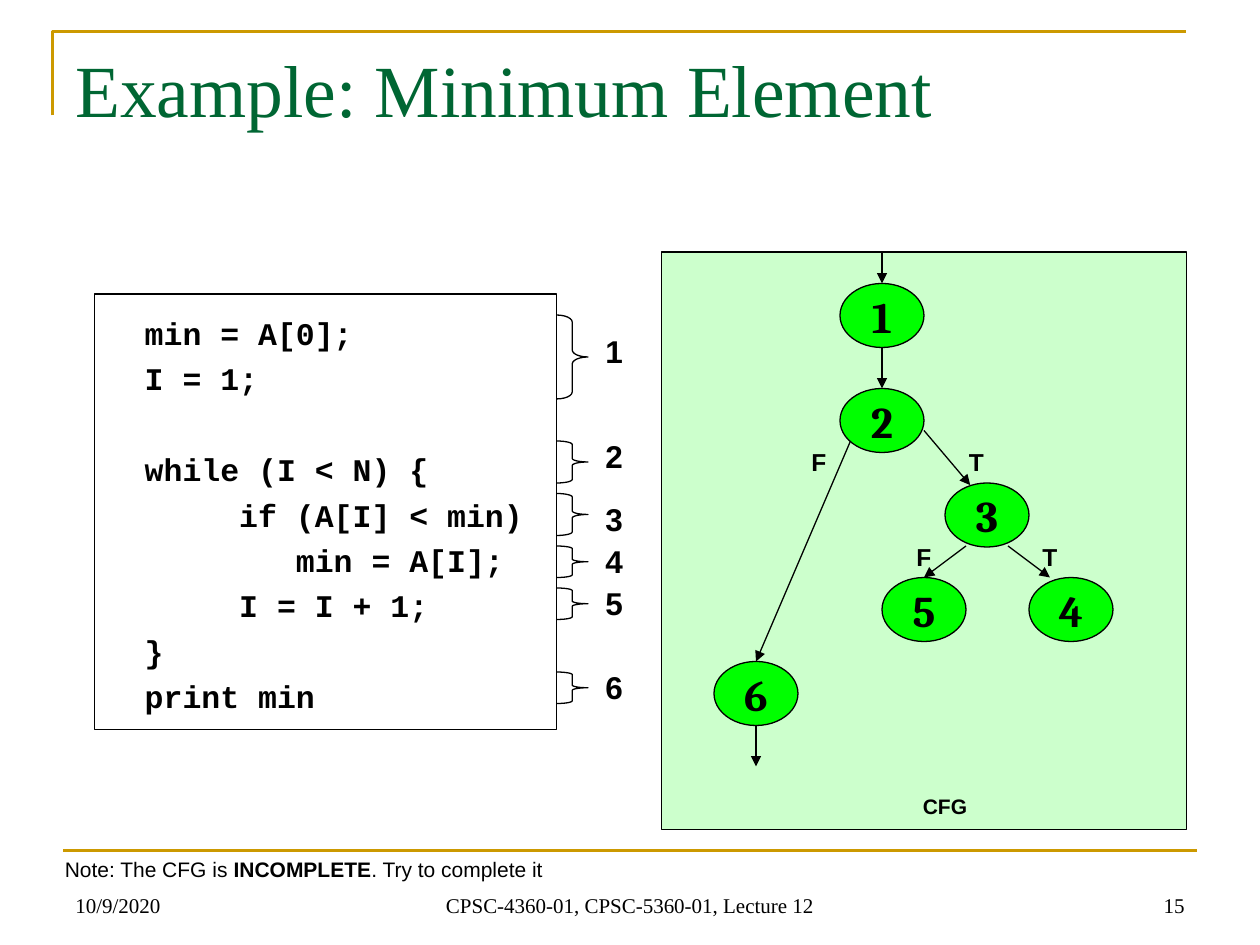
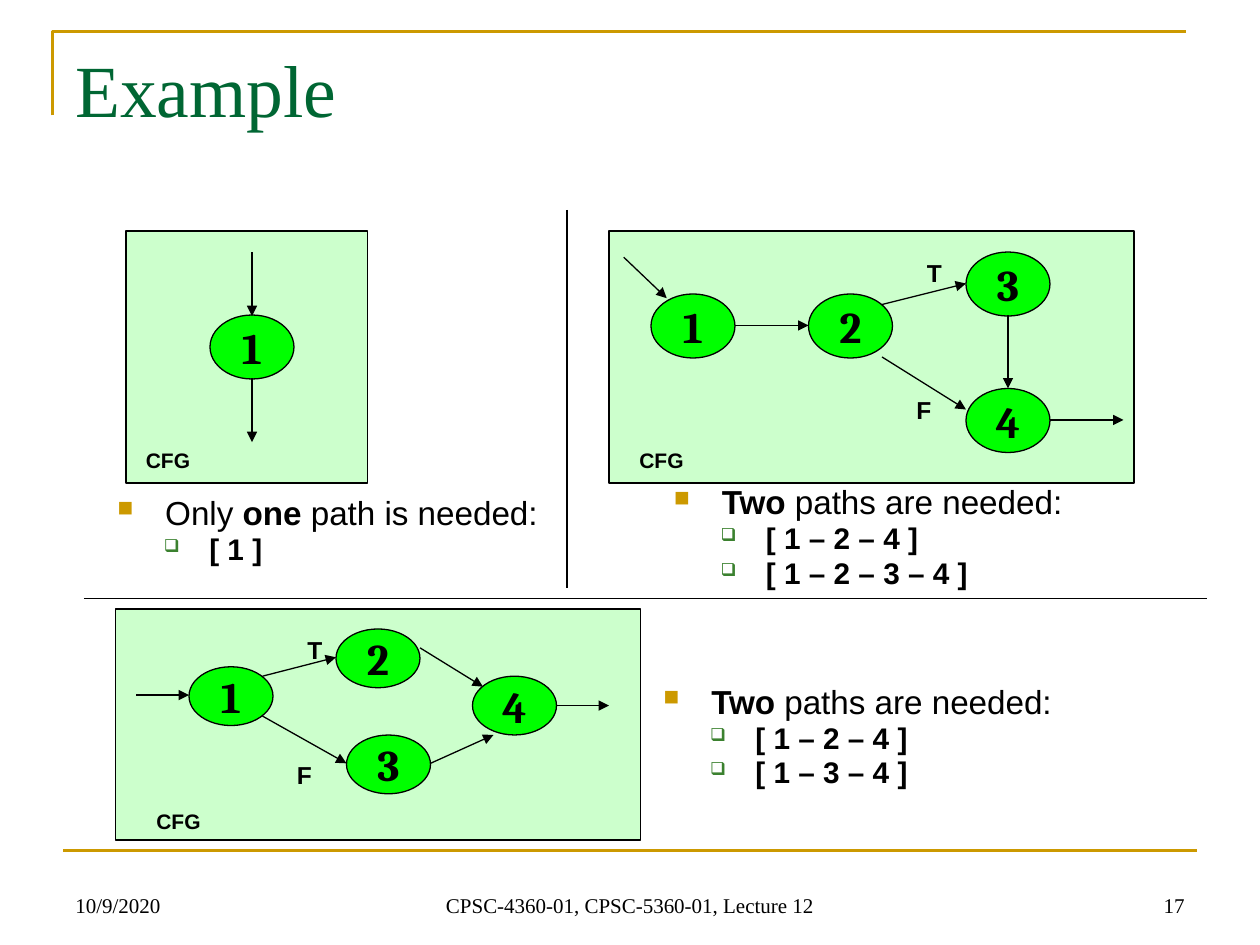
"""Build two slides on control-flow graphs, on a grid of 120 columns by 90 rows."""
from lxml import etree
from pptx import Presentation, util as u
from pptx.dml.color import RGBColor
from pptx.enum import shapes, text
from pptx.oxml import ns

KIND, SIDE, ROW = shapes.MSO_SHAPE, text.PP_ALIGN, text.MSO_ANCHOR
hue = RGBColor.from_string
GOLD, DARK, LEAF, PALE, LIME, BLACK = "CC9900", "006633", "3B812F", "CCFFCC", "00FF00", "000000"
ROMAN = "Times New Roman"

deck = Presentation()
deck.slide_width, deck.slide_height = u.Inches(10), u.Inches(7.5)
CELL = deck.slide_width / 120


def draw(page, box, words="", kind=None, fill=None, edge=0.75, size=12, face="Arial",
         ink=BLACK, bold=None, side=SIDE.LEFT, row=ROW.TOP, wrap=True):
    """Place a shape or text box; asterisks in the words enclose bold runs."""
    area = [round(n * CELL) for n in box]
    if kind is None:
        item = page.shapes.add_textbox(*area)
    else:
        item = page.shapes.add_shape(kind, *area)
        item.shadow.inherit = False
        item.line.color.rgb, item.line.width = hue(BLACK), u.Pt(edge)
        if fill:
            item.fill.solid()
            item.fill.fore_color.rgb = hue(fill)
        else:
            item.fill.background()
    if words:
        frame = item.text_frame
        frame.word_wrap, frame.vertical_anchor = wrap, row
        for n, line in enumerate(words.split("\n")):
            para = frame.add_paragraph() if n else frame.paragraphs[0]
            para.alignment = side
            for k, part in enumerate(line.split("*")):
                if part:
                    run = para.add_run()
                    run.text = part
                    if k % 2:
                        run.font.bold = True
            font = para.font
            font.size, font.name, font.bold = u.Pt(size), face, bold
            font.color.rgb = hue(ink)
    return item


def link(page, ends, ink=BLACK, wide=0.75, arrow=True):
    """Draw a straight line, with an arrowhead at its end if wanted."""
    wire = page.shapes.add_connector(shapes.MSO_CONNECTOR.STRAIGHT, *[round(n * CELL) for n in ends])
    wire.line.color.rgb, wire.line.width = hue(ink), u.Pt(wide)
    if arrow:
        etree.SubElement(wire.line._get_or_add_ln(), ns.qn("a:tailEnd"), type="triangle")
    etree.SubElement(wire._element.spPr, ns.qn("a:effectLst"))


loop = dict(
    panel=(63, 24, 50, 55), name=(86, 75), tall=6.1,
    nodes=[(80, 27), (80, 37), (90, 46), (98, 55), (84, 55), (68, 63)],
    links=[(84, 24, 84, 27), (84, 33, 84, 37), (88, 41, 92.4, 46.2), (92, 52, 88, 55),
           (96, 52, 100, 55), (81, 42, 72, 63), (72, 69, 72, 73)],
    marks=[("T", 90, 42), ("F", 75, 42), ("T", 97, 51), ("F", 85, 51)])
single = dict(
    panel=(12, 22, 23, 24), name=(12, 42), tall=6.1, nodes=[(20, 30)],
    links=[(24, 24, 24, 30.1), (24, 36, 24, 42.1)], marks=[])
branch = dict(
    panel=(58, 22, 50, 24), name=(59, 42), tall=6.1,
    nodes=[(62, 28), (77, 28), (92, 24), (92, 37)],
    links=[(59.4, 24.5, 63.5, 28.4), (70, 31, 77, 31), (84, 29, 92, 27), (84, 34, 92, 39),
           (96, 30, 96, 37), (100, 40, 107, 40)],
    marks=[("T", 86, 24), ("F", 85, 37)])
diamond = dict(
    panel=(11, 58, 50, 22), name=(13, 76.4), tall=5.6,
    nodes=[(18, 63.5), (32, 59.9), (33, 70), (45, 64.4)],
    links=[(13, 66.2, 18, 66.2), (25, 64.4, 32, 62.6), (25, 68.2, 33, 72.7),
           (40, 61.7, 46, 65.4), (41, 72.7, 47, 70), (53, 67.2, 58, 67.2)],
    marks=[("T", 27, 59.9), ("F", 26, 71.8)])

pages = []
for title, number, graphs in [("Example: Minimum Element", "15", [loop]),
                              ("Example", "17", [single, branch, diamond])]:
    page = deck.slides.add_slide(deck.slide_layouts[6])
    pages.append(page)
    pen = page.shapes.build_freeform(5, 11, scale=CELL)
    pen.add_line_segments([(5, 3), (113, 3)], close=False)
    rule = pen.convert_to_shape()
    rule.shadow.inherit = False
    rule.fill.background()
    rule.line.color.rgb, rule.line.width = hue(GOLD), u.Pt(1.5)
    link(page, (6, 81, 114, 81), GOLD, 1.5, False)
    draw(page, (6, 3.6, 108, 15), title, size=42, face=ROMAN, ink=DARK)
    for left, wide, words, side in [(6, 28, "10/9/2020", SIDE.LEFT),
                                    (41, 38, "CPSC-4360-01, CPSC-5360-01, Lecture 12", SIDE.CENTER),
                                    (86, 28, number, SIDE.RIGHT)]:
        draw(page, (left, 82, wide, 6), words, face=ROMAN, side=side, row=ROW.BOTTOM)
    for graph in graphs:
        draw(page, graph["panel"], kind=KIND.RECTANGLE, fill=PALE, edge=1)
        draw(page, (*graph["name"], 8, 3.6), "CFG", bold=True, side=SIDE.CENTER)
        for n, spot in enumerate(graph["nodes"], 1):
            draw(page, (*spot, 8, graph["tall"]), str(n), KIND.OVAL, LIME, size=25, face="Cambria",
                 bold=True, side=SIDE.CENTER, row=ROW.MIDDLE, wrap=False)
        for ends in graph["links"]:
            link(page, ends)
        for mark, left, top in graph["marks"]:
            draw(page, (left, top, 6, 4), mark, size=14, bold=True, side=SIDE.CENTER)

first, second = pages
code = """  min = A[0];
  I = 1;
  while (I < N) {
       if (A[I] < min)
          min = A[I];
       I = I + 1;
  }
  print min"""
block = draw(first, (9, 28, 44, 41.5), code, KIND.RECTANGLE, size=18, face="Courier New", bold=True)
block.text_frame.margin_top = block.text_frame.margin_bottom = u.Inches(0.1)
for para in block.text_frame.paragraphs:
    para.line_spacing = 1.2
block.text_frame.paragraphs[2].space_before = u.Pt(26)

for n, (top, tall, row) in enumerate([(30, 8, 31), (42, 4, 41), (47, 4, 47),
                                      (52, 3, 51), (56, 3, 55), (64, 3, 63)], 1):
    brace = draw(first, (53, top, 3, tall), kind=KIND.RIGHT_BRACE)
    brace.adjustments[0] = tall / 36
    draw(first, (56, row, 5, 4.8), str(n), size=18, bold=True, side=SIDE.CENTER)
draw(first, (5, 81, 54, 3.6), "Note: The CFG is *INCOMPLETE*. Try to complete it")

for box, words in [((10, 47, 43, 8), "Only *one *path is needed:\n*[ 1 ]*"),
                   ((63, 46, 45, 13), "*Two *paths are needed:\n*[ 1 – 2 – 4 ]*\n*[ 1 – 2 – 3 – 4 ]*"),
                   ((62, 65, 40, 16), "*Two *paths are needed:\n*[ 1 – 2 – 4 ]*\n*[ 1 – 3 – 4 ]*")]:
    notes = draw(second, box, words, size=19)
    for n, para in enumerate(notes.text_frame.paragraphs):
        level = min(n, 1)
        sign, tint, share, left, hang, size = [("■", GOLD, 65, 0.38, 0.38, 19),
                                               ("❑", LEAF, 60, 0.73, 0.36, 17)][level]
        para.level, para.line_spacing, para.font.size = level, 0.8, u.Pt(size)
        if n:
            para.space_before = u.Pt(size / 5)
        prop = para._p.get_or_add_pPr()
        prop.set("marL", str(u.Inches(left)))
        prop.set("indent", str(-u.Inches(hang)))
        color = etree.Element(ns.qn("a:buClr"))
        etree.SubElement(color, ns.qn("a:srgbClr"), val=tint)
        scale = etree.Element(ns.qn("a:buSzPct"), val=str(share * 1000))
        glyph = etree.Element(ns.qn("a:buChar"), char=sign)
        last = prop.find(ns.qn("a:defRPr"))
        for part in (color, scale, glyph):
            last.addprevious(part)

link(second, (8, 57, 115, 57), wide=1, arrow=False)
link(second, (54, 20, 54, 56), wide=1, arrow=False)
deck.save("out.pptx")
